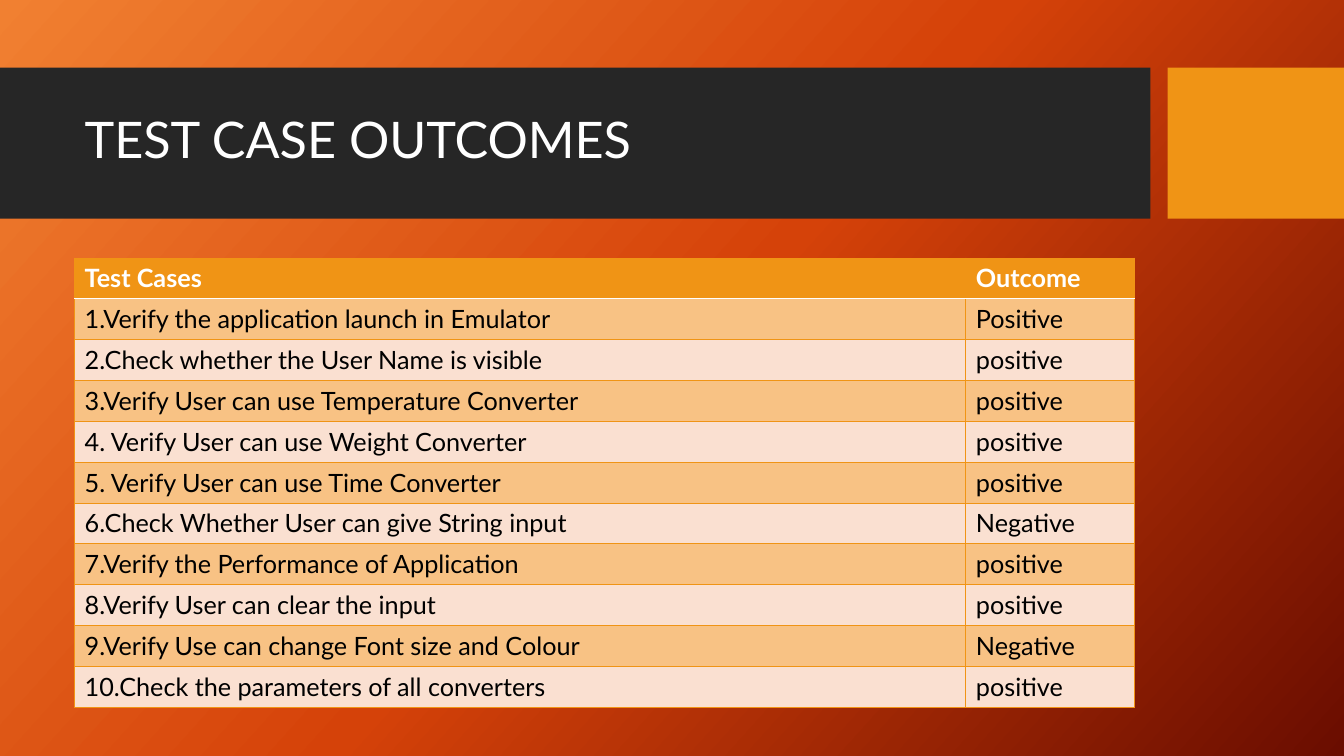
from copy import deepcopy

from lxml import etree
from pptx import Presentation
from pptx import util as u
from pptx.dml.color import RGBColor
from pptx.enum import shapes, text
from pptx.oxml.ns import qn

ORANGE = RGBColor(0xF0, 0x94, 0x15)
PALE_ORANGE = RGBColor(0xF8, 0xC2, 0x84)
PALE_PINK = RGBColor(0xFA, 0xE0, 0xD1)
CHARCOAL = RGBColor(0x26, 0x26, 0x26)
WHITE = RGBColor(0xFF, 0xFF, 0xFF)
BLACK = RGBColor(0x00, 0x00, 0x00)
GLOW = RGBColor(0xF1, 0x80, 0x31)
EMBER = RGBColor(0xD5, 0x42, 0x09)
MAROON = RGBColor(0x6A, 0x0D, 0x00)
FONT = "Lato"

OUTCOMES = [
    ("Test Cases", "Outcome"),
    ("1.Verify the application launch in Emulator", "Positive"),
    ("2.Check whether the User Name is visible", "positive"),
    ("3.Verify User can use Temperature Converter", "positive"),
    ("4. Verify User can use Weight Converter", "positive"),
    ("5. Verify User can use Time Converter", "positive"),
    ("6.Check Whether User can give String input", "Negative"),
    ("7.Verify the Performance of Application", "positive"),
    ("8.Verify User can clear the input", "positive"),
    ("9.Verify Use can change Font size and Colour", "Negative"),
    ("10.Check the parameters of all converters", "positive"),
]


def add_run(p, words, size, color, bold=False):
    r = p.add_run()
    r.text = words
    r.font.name = FONT
    r.font.size = u.Pt(size)
    r.font.bold = bold
    r.font.color.rgb = color


def add_border(cell, index, side, color, width):
    ln = etree.Element(qn(f"a:ln{side}"), w=str(u.Pt(width)))
    fill = etree.SubElement(ln, qn("a:solidFill"))
    etree.SubElement(fill, qn("a:srgbClr"), val=str(color))
    cell._tc.get_or_add_tcPr().insert(index, ln)


prs = Presentation()
prs.slide_width, prs.slide_height = u.Inches(13.33), u.Inches(7.5)
s = prs.slides.add_slide(prs.slide_layouts[6])

# Background: three-stop diagonal gradient
fill = s.background.fill
fill.gradient()
fill.gradient_angle = 360 - 42
stop_list = s.element.find(".//" + qn("a:gsLst"))
stop_list.insert(1, deepcopy(stop_list[0]))
for stop, color, position in zip(fill.gradient_stops, (GLOW, EMBER, MAROON), (0, 0.5, 1)):
    stop.color.rgb = color
    stop.position = position

# Title band and accent block
band_top, band_height = u.Inches(0.67), u.Inches(1.5)
for left, width, color in ((0, 11.41, CHARCOAL), (11.58, 1.75, ORANGE)):
    sp = s.shapes.add_shape(shapes.MSO_SHAPE.RECTANGLE, u.Inches(left), band_top,
                            u.Inches(width), band_height)
    sp.shadow.inherit = False
    sp.fill.solid()
    sp.fill.fore_color.rgb = color
    sp.line.fill.background()

# Title
margin, content_width = u.Inches(0.74), u.Inches(10.51)
tf = s.shapes.add_textbox(margin, u.Inches(0.82), content_width, u.Inches(1.18)).text_frame
tf.word_wrap = True
tf.vertical_anchor = text.MSO_ANCHOR.MIDDLE
p = tf.paragraphs[0]
p.line_spacing = 0.9
add_run(p, "TEST CASE OUTCOMES", 36, WHITE)

# Outcome table
row_height = u.Inches(4.46 / len(OUTCOMES))
table = s.shapes.add_table(len(OUTCOMES), 2, margin, u.Inches(2.56), content_width,
                           row_height * len(OUTCOMES)).table
table.first_row = table.horz_banding = False
table.columns[0].width = u.Inches(8.84)
table.columns[1].width = content_width - u.Inches(8.84)

for i, row in enumerate(OUTCOMES):
    table.rows[i].height = row_height
    header = i == 0
    row_fill = ORANGE if header else PALE_ORANGE if i % 2 else PALE_PINK
    for j, words in enumerate(row):
        cell = table.cell(i, j)
        cell.fill.solid()
        cell.fill.fore_color.rgb = row_fill
        add_run(cell.text_frame.paragraphs[0], words, 18, WHITE if header else BLACK, header)
        for k, side in enumerate("LRTB"):
            under_header = (i, side) in ((0, "B"), (1, "T"))
            add_border(cell, k, side, *((WHITE, 1) if under_header else (ORANGE, 0.75)))

prs.save("out.pptx")
